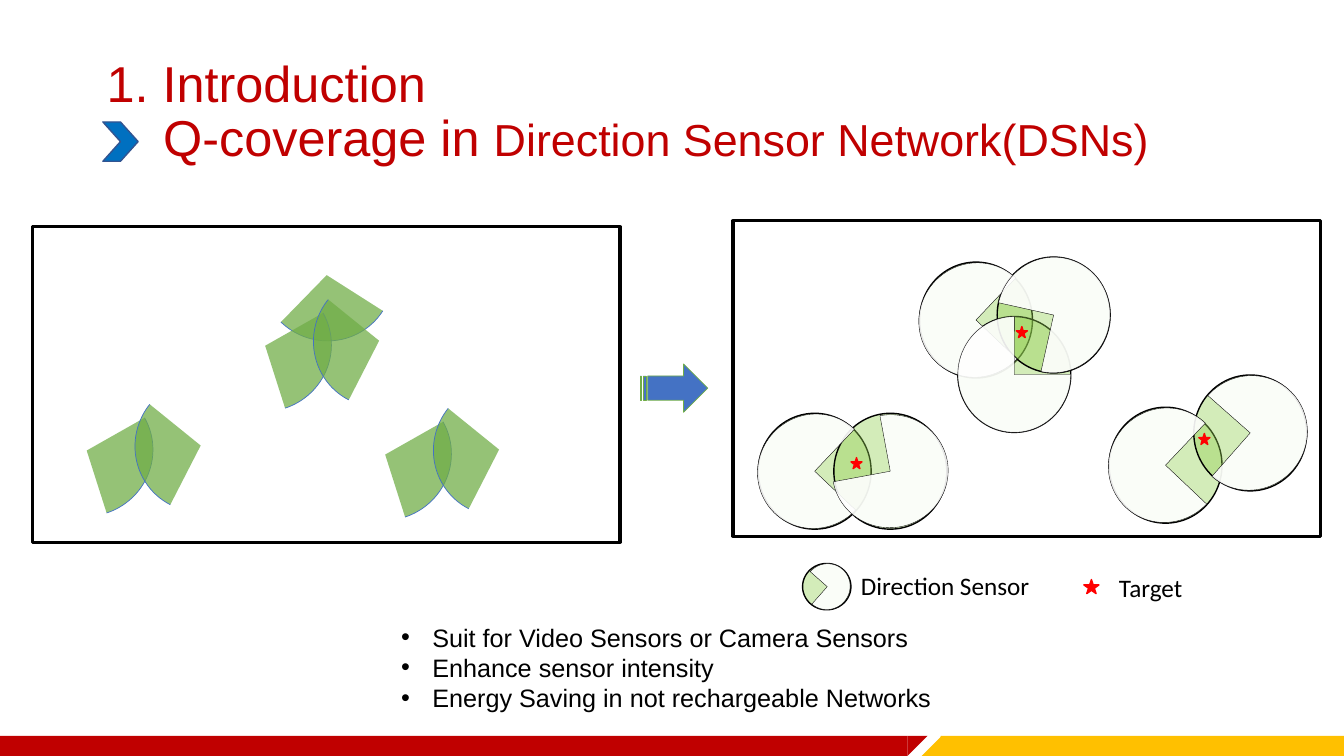
"""Build the slide on Q-coverage in direction sensor networks."""
from lxml.etree import SubElement
from pptx import Presentation
from pptx.dml.color import RGBColor
from pptx.enum.shapes import MSO_SHAPE
from pptx.enum.text import MSO_ANCHOR
from pptx.oxml.ns import qn
from pptx.util import Inches, Pt

BLACK = RGBColor(0x00, 0x00, 0x00)
WHITE = RGBColor(0xFF, 0xFF, 0xFF)
DARK_RED = RGBColor(0xC0, 0x00, 0x00)
RED = RGBColor(0xFF, 0x00, 0x00)
GOLD = RGBColor(0xFF, 0xC0, 0x00)
BLUE = RGBColor(0x44, 0x72, 0xC4)
BRIGHT_BLUE = RGBColor(0x00, 0x70, 0xC0)
NAVY = RGBColor(0x32, 0x54, 0x91)
GREEN = RGBColor(0x70, 0xAD, 0x47)
LIME = RGBColor(0x92, 0xD0, 0x50)

prs = Presentation()
prs.slide_width, prs.slide_height = Inches(13.33), Inches(7.5)
s = prs.slides.add_slide(prs.slide_layouts[6])


def add_shape(kind, x, y, w, h, fill=None, line=None, width=1, rot=0, alpha=100):
    sp = s.shapes.add_shape(kind, Inches(x), Inches(y), Inches(w), Inches(h))
    sp.shadow.inherit = False
    sp.rotation = rot
    if fill is None:
        sp.fill.background()
    else:
        sp.fill.solid()
        sp.fill.fore_color.rgb = fill
        if alpha < 100:
            color = sp._element.spPr.find(qn("a:solidFill"))[0]
            SubElement(color, qn("a:alpha"), val=str(alpha * 1000))
    if line is None:
        sp.line.fill.background()
    else:
        sp.line.color.rgb = line
        sp.line.width = Pt(width)
    return sp


def add_text(x, y, w, h, paragraphs, font, color, wrap=True):
    tf = s.shapes.add_textbox(Inches(x), Inches(y), Inches(w), Inches(h)).text_frame
    tf.word_wrap = wrap
    for i, runs in enumerate(paragraphs):
        p = tf.paragraphs[0] if i == 0 else tf.add_paragraph()
        for text, size in runs:
            r = p.add_run()
            r.text = text
            r.font.size = Pt(size)
            r.font.name = font
            r.font.color.rgb = color
    return tf


for x, w, kind, rot, color in [
    (0, 9, MSO_SHAPE.RECTANGLE, 0, DARK_RED),
    (9, 0.2, MSO_SHAPE.RIGHT_TRIANGLE, 90, DARK_RED),
    (9.33, 4, MSO_SHAPE.RECTANGLE, 0, GOLD),
    (9.14, 0.2, MSO_SHAPE.RIGHT_TRIANGLE, 270, GOLD),
]:
    add_shape(kind, x, 7.3, w, 0.2, color, rot=rot)

title = [
    [("1. Introduction", 36)],
    [("Q-coverage in ", 36), ("Direction Sensor Network(DSNs)", 32)],
]
tf = add_text(0.96, 0.4, 11.5, 1.45, title, "Arial", DARK_RED)
tf.vertical_anchor = MSO_ANCHOR.MIDDLE
for p in tf.paragraphs:
    p.line_spacing = 0.9
tf.paragraphs[1]._p.get_or_add_pPr().set("marL", str(Inches(0.56)))

points = [
    "Suit for Video Sensors or Camera Sensors",
    "Enhance sensor intensity",
    "Energy Saving in not rechargeable Networks",
]
tf = add_text(3.88, 6.12, 5.93, 1.01, [[(point, 18)] for point in points], "Arial", BLACK)
for p in tf.paragraphs:
    pPr = p._p.get_or_add_pPr()
    pPr.set("marL", str(Inches(0.31)))
    pPr.set("indent", str(-Inches(0.31)))
    SubElement(pPr, qn("a:buFont"), typeface="Arial")
    SubElement(pPr, qn("a:buChar"), char="•")

add_shape(MSO_SHAPE.CHEVRON, 1.02, 1.21, 0.35, 0.39, BRIGHT_BLUE, NAVY)

sensors = [
    (7.52, 4.1, 43.4),
    (8.27, 4.1, 259.5),
    (9.12, 2.6, 43.4),
    (9.5, 3.14, 0),
    (9.89, 2.55, 192.6),
    (11, 4.04, 43.4),
    (11.84, 3.72, 221.4),
]
for x, y, rot in sensors:
    add_shape(MSO_SHAPE.OVAL, x, y, 1.12, 1.15, LIME, BLACK, alpha=40)
for x, y in [(10.08, 3.24), (8.44, 4.54), (11.89, 4.3)]:
    add_shape(MSO_SHAPE.STAR_5_POINT, x, y, 0.11, 0.11, RED, RED)
for x, y in [(7.27, 2.19), (0.32, 2.25)]:
    add_shape(MSO_SHAPE.RECTANGLE, x, y, 5.83, 3.13, line=BLACK, width=2.25)
for x, y, rot in sensors:
    add_shape(MSO_SHAPE.PIE, x, y, 1.12, 1.15, WHITE, BLACK, 0.25, rot, 90)

add_shape(MSO_SHAPE.OVAL, 7.96, 5.59, 0.48, 0.46, LIME, BLACK, alpha=40)
add_shape(MSO_SHAPE.PIE, 7.98, 5.59, 0.45, 0.46, WHITE, BLACK, 0.25, 221.4, 90)
add_shape(MSO_SHAPE.STAR_5_POINT, 10.75, 5.75, 0.15, 0.14, RED, RED)
for x, y, w, label in [(8.44, 5.61, 1.89, "Direction Sensor"), (11, 5.63, 0.84, "Target")]:
    add_text(x, y, w, 0.4, [[(label, 18)]], "Calibri", BLACK, wrap=False)

sectors = [(2.59, 2.07, 122.5)]
for x, y in [(1.98, 2.77), (0.21, 3.81), (3.17, 3.85)]:
    sectors += [(x, y, 60.5), (x + 1.13, y - 0.05, 207.2)]
for x, y, rot in sectors:
    sp = add_shape(MSO_SHAPE.ARC, x, y, 1.3, 1.32, GREEN, BLUE, 0.5, rot, 74)
    sp.adjustments[0] = 162
    sp.adjustments[1] = 7.06

add_shape(MSO_SHAPE.STRIPED_RIGHT_ARROW, 6.35, 3.61, 0.67, 0.48, BLUE, GREEN, 0.5)

prs.save("out.pptx")
